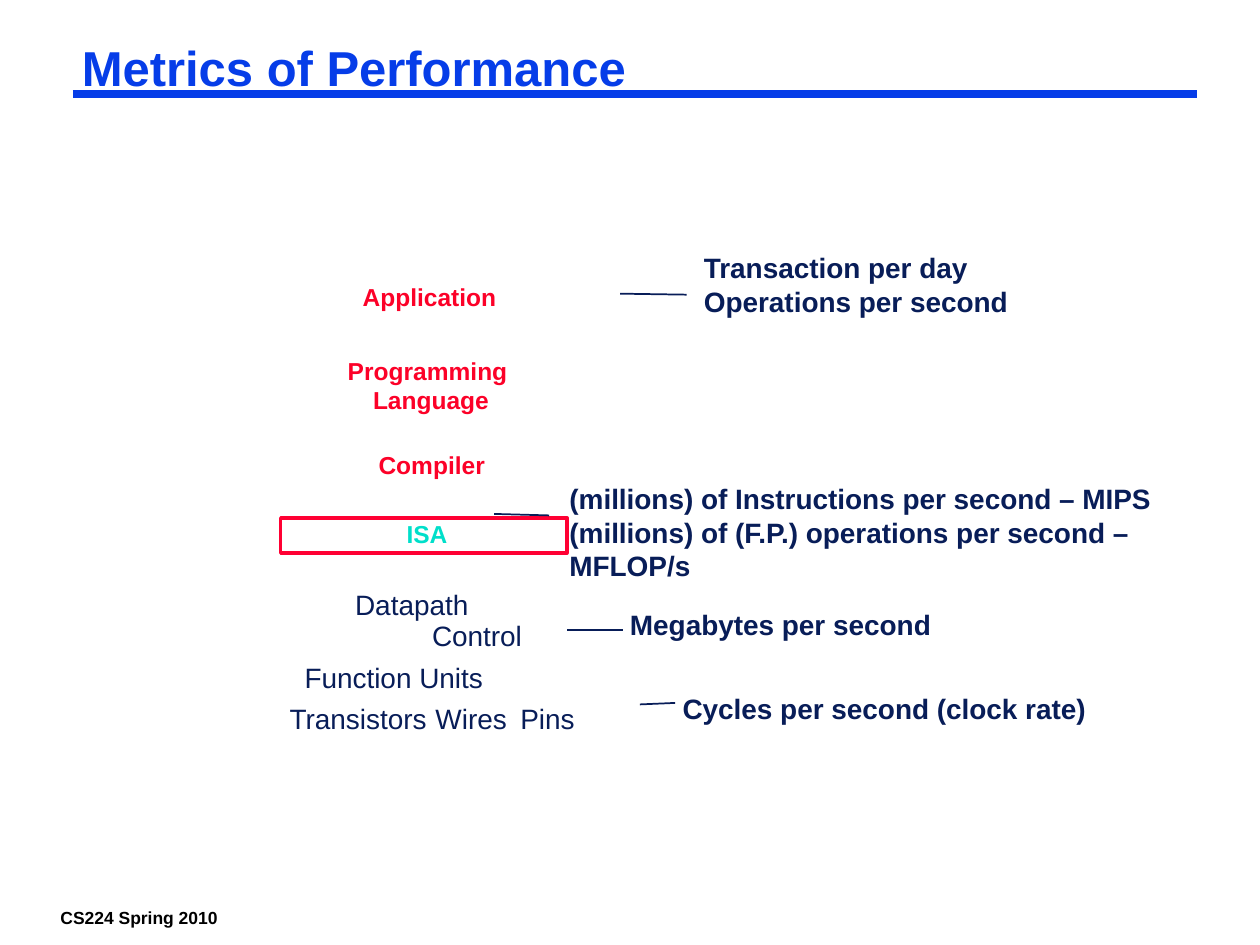
from lxml import etree
from pptx import Presentation
from pptx.dml.color import RGBColor
from pptx.enum.shapes import MSO_CONNECTOR, MSO_SHAPE
from pptx.enum.text import MSO_ANCHOR, PP_ALIGN
from pptx.oxml.ns import qn
from pptx.util import Cm, Pt

STRAIGHT = MSO_CONNECTOR.STRAIGHT
RECTANGLE = MSO_SHAPE.RECTANGLE
TOP = MSO_ANCHOR.TOP
LEFT, CENTER = PP_ALIGN.LEFT, PP_ALIGN.CENTER

COLORS = {
    "blue": "063DE8",
    "navy": "081D58",
    "red": "FC0128",
    "frame": "FF0033",
    "teal": "00DFCA",
    "black": "000000",
    "white": "FFFFFF",
}
FONT = "Arial"
SOFTWARE_LAYERS = [
    ("Application", 7.06, 5.56, 3.2, 0.84),
    ("Programming \nLanguage", 6.76, 7.04, 3.86, 1.45),
    ("Compiler", 7.37, 8.94, 2.67, 0.84),
]
HARDWARE_PARTS = [
    ("Datapath", 6.91, 11.71, 2.79),
    ("Control", 8.46, 12.34, 2.34),
    ("Function Units", 5.89, 13.18, 4.11),
    ("Transistors", 5.59, 14.02, 3.3),
    ("Wires", 8.53, 14.02, 1.96),
    ("Pins", 10.24, 14.02, 1.6),
]
METRICS = [
    ("Transaction per day\nOperations per second", 13.94, 4.93, 6.65, 1.6),
    ("(millions) of Instructions per second – MIPS\n"
     "(millions) of (F.P.) operations per second – MFLOP/s",
     11.23, 9.58, 13.79, 2.29),
    ("Megabytes per second", 12.45, 12.12, 6.58, 0.94),
    ("Cycles per second (clock rate)", 13.51, 13.82, 8.66, 0.94),
]
POINTERS = [
    (12.5, 5.92, 13.84, 5.94),
    (9.96, 10.36, 11.07, 10.39),
    (11.43, 12.7, 12.55, 12.7),
    (13.61, 14.17, 12.9, 14.2),
]


def rgb(name):
    return RGBColor.from_string(COLORS[name])


class SlideBuilder:
    def __init__(self, page):
        self.page = page

    def set_text(self, box, text, size, color, bold, align=LEFT, inset=(0.25, 0.13)):
        frame = box.text_frame
        frame.text = text
        frame.vertical_anchor = TOP
        frame.margin_left = frame.margin_right = Cm(inset[0])
        frame.margin_top = frame.margin_bottom = Cm(inset[1])
        for para in frame.paragraphs:
            para.alignment = align
            for span in para.runs:
                span.font.name = FONT
                span.font.size = Pt(size)
                span.font.bold = bold
                span.font.color.rgb = rgb(color)
        return frame

    def title(self, text, left, top, width, height):
        box = self.page.shapes.title
        box.left, box.top, box.width, box.height = map(Cm, (left, top, width, height))
        frame = self.set_text(box, text, 28, "blue", True, inset=(0.18, 0.08))
        frame.paragraphs[0].line_spacing = 0.87

    def label(self, text, left, top, width, height, size, color,
              bold=True, wrap=False, **style):
        box = self.page.shapes.add_textbox(*map(Cm, (left, top, width, height)))
        self.set_text(box, text, size, color, bold, **style).word_wrap = wrap

    def frame(self, left, top, width, height, color):
        box = self.page.shapes.add_shape(RECTANGLE, *map(Cm, (left, top, width, height)))
        box.shadow.inherit = False
        box.fill.solid()
        box.fill.fore_color.rgb = rgb("white")
        box.line.color.rgb = rgb(color)
        box.line.width = Pt(2)

    def line(self, x1, y1, x2, y2, color, weight):
        connector = self.page.shapes.add_connector(STRAIGHT, *map(Cm, (x1, y1, x2, y2)))
        connector.line.color.rgb = rgb(color)
        connector.line.width = Pt(weight)
        etree.SubElement(connector._element.spPr, qn("a:effectLst"))


def main():
    deck = Presentation()
    deck.slide_width, deck.slide_height = Cm(25.4), Cm(19.05)
    builder = SlideBuilder(deck.slides.add_slide(deck.slide_layouts[5]))

    builder.label("CS224 Spring 2010", 1.04, 18.21, 3.53, 0.56, 10, "black",
                  inset=(0.18, 0.08))
    builder.line(1.47, 1.9, 24.13, 1.9, "blue", 4.5)
    builder.title("Metrics of Performance", 1.47, 0.84, 22.66, 1.17)

    for text, *place in SOFTWARE_LAYERS:
        builder.label(text, *place, 14, "red", align=CENTER)
    for text, *place in HARDWARE_PARTS:
        builder.label(text, *place, 0.94, 16, "navy", bold=False)
    builder.frame(5.66, 10.44, 5.77, 0.71, "frame")
    builder.label("ISA", 5.69, 10.34, 5.84, 0.84, 14, "teal", wrap=True, align=CENTER)
    for text, *place in METRICS:
        builder.label(text, *place, 16, "navy", wrap=True)
    for ends in POINTERS:
        builder.line(*ends, "navy", 1)

    deck.save("out.pptx")


if __name__ == "__main__":
    main()
